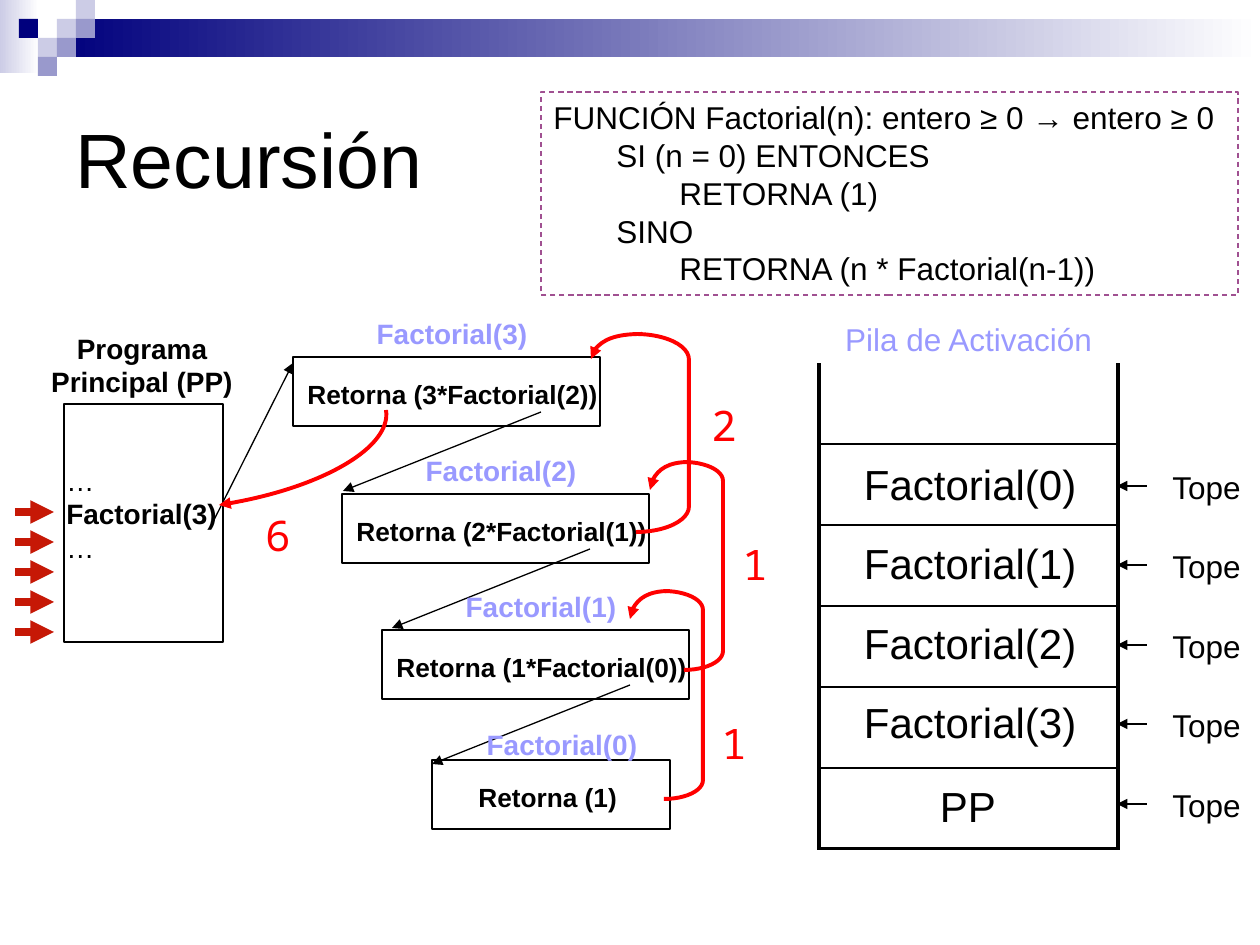
from lxml.etree import SubElement
from pptx import Presentation
from pptx.dml.color import RGBColor
from pptx.enum.dml import MSO_LINE
from pptx.enum.shapes import MSO_CONNECTOR, MSO_SHAPE
from pptx.enum.text import MSO_ANCHOR, PP_ALIGN
from pptx.oxml.ns import qn
from pptx.util import Pt

SCALE = 914400 / 126
BLACK, WHITE, LILAC, RED = "000000", "FFFFFF", "9999FF", "FF0000"
NAVY, PALE, MID = "00007D", "CCCCE6", "9999CC"
BODY = {"name": "Arial", "size": Pt(18), "bold": False}
LABEL = BODY | {"size": Pt(16), "bold": True}
CALL = BODY | {"size": Pt(15), "bold": True}
FRAME = BODY | {"size": Pt(24)}
RESULT = FRAME | {"name": "Noto Sans Mono"}


def px(*lengths):
    return [round(length * SCALE) for length in lengths]


def hue(code):
    return RGBColor.from_string(code)


def apply(target, values):
    for name, value in values.items():
        setattr(target, name, value)


def write(shape, lines, style, color=BLACK, align=PP_ALIGN.LEFT, wrap=False, **frame_values):
    frame = shape.text_frame
    apply(frame, {"word_wrap": wrap, "vertical_anchor": MSO_ANCHOR.TOP} | frame_values)
    for number, line in enumerate(lines):
        para = frame.paragraphs[0] if number == 0 else frame.add_paragraph()
        para.alignment = align
        span = para.add_run()
        span.text = line
        apply(span.font, style)
        span.font.color.rgb = hue(color)
    return frame


def add_text(page, box, lines, style, **options):
    return write(page.shapes.add_textbox(*px(*box)), lines, style, **options)


def stroke(shape, color, width):
    shape.line.color.rgb = hue(color)
    shape.line.width = Pt(width)


def add_outline(page, box, color=BLACK, width=0.75, kind=MSO_SHAPE.RECTANGLE):
    shape = page.shapes.add_shape(kind, *px(*box))
    shape.shadow.inherit = False
    shape.fill.background()
    stroke(shape, color, width)
    return shape


def add_block(page, box, *colors):
    block = page.shapes.add_shape(MSO_SHAPE.RECTANGLE, *px(*box))
    block.shadow.inherit = False
    block.line.fill.background()
    if len(colors) == 1:
        block.fill.solid()
        block.fill.fore_color.rgb = hue(colors[0])
        return
    block.fill.gradient()
    block.fill.gradient_angle = 0
    for position, (stop, color) in enumerate(zip(block.fill.gradient_stops, colors)):
        stop.position = position
        stop.color.rgb = hue(color)


def add_arrowhead(shape):
    SubElement(shape.line._get_or_add_ln(), qn("a:tailEnd"), type="triangle")


def add_arrow(page, start, end, color=BLACK, width=0.75):
    arrow = page.shapes.add_connector(MSO_CONNECTOR.STRAIGHT, *px(*start, *end))
    stroke(arrow, color, width)
    add_arrowhead(arrow)
    SubElement(arrow._element.spPr, qn("a:effectLst"))


def add_curve(page, start, *controls):
    builder = page.shapes.build_freeform(*px(*start))
    builder.add_line_segments([px(*point) for point in controls], close=False)
    curve = builder.convert_to_shape()
    outline = curve._element.find(".//" + qn("a:path"))
    bezier = SubElement(outline, qn("a:cubicBezTo"))
    for segment in outline.findall(qn("a:lnTo")):
        bezier.append(segment[0])
        outline.remove(segment)
    curve.shadow.inherit = False
    curve.fill.background()
    stroke(curve, RED, 2.25)
    add_arrowhead(curve)


def header(page, box):
    left, top, width, _ = box
    cell = 19
    add_block(page, (left, top, 39, 73), PALE, WHITE)
    add_block(page, (left + 3 * cell, top + cell, width - 3 * cell, 2 * cell), NAVY, WHITE)
    mosaic = [(3, 1, PALE), (4, 0, PALE), (4, 1, MID), (2, 2, PALE),
              (1, 1, NAVY), (3, 2, MID), (2, 3, MID)]
    for column, row, color in mosaic:
        add_block(page, (left + column * cell, top + row * cell, cell, cell), color)


def function_code(page, box):
    panel = add_outline(page, box, "A05091")
    panel.line.dash_style = MSO_LINE.DASH
    write(panel, ["FUNCIÓN Factorial(n): entero ≥ 0 → entero ≥ 0",
                  "\tSI (n = 0) ENTONCES",
                  "\t\tRETORNA (1)",
                  "\tSINO",
                  "\t\tRETORNA (n * Factorial(n-1))"], BODY)


def main_program(page, box):
    left, top, _, _ = box
    add_outline(page, box)
    add_text(page, (left - 26, top - 79, 208, 81), ["Programa", "Principal (PP)"],
             LABEL, align=PP_ALIGN.CENTER)
    frame = add_text(page, (left - 10, top + 53, 176, 113), ["…", "Factorial(3)", "…"],
                     BODY | {"size": Pt(16)})
    frame.paragraphs[1].runs[0].font.bold = True
    for step in range(5):
        y = top + 108 + 30 * step
        add_arrow(page, (left - 49, y), (left - 10, y), "C61806", 4.5)


def call_card(page, box, name, name_at, body, body_at):
    left, top, _, _ = box
    add_outline(page, box)
    add_text(page, (left + name_at[0], top + name_at[1], 176, 47), [name],
             LABEL, color=LILAC, align=PP_ALIGN.CENTER)
    add_text(page, (left + body_at[0], top + body_at[1], 316, 44), [body], CALL)


def call_chain(page, box):
    left, top, width, height = box
    places = [(0, 0), (49, 137), (89, 273)]
    for value, (x, y) in zip((3, 2, 1), places):
        card_left, card_top = left + x, top + y
        call_card(page, (card_left, card_top, width, height), f"Factorial({value})",
                  (71, -47), f"Retorna ({value}*Factorial({value - 1}))", (2, 15))
        start = card_left + 248, card_top + 55
        add_arrow(page, start, (start[0] - 198, start[1] + 79))
    call_card(page, (left + 139, top + 403, 238, height), "Factorial(0)", (42, -39),
              "Retorna (1)", (34, 15))


def return_loop(page, box, tip):
    left, top, _, _ = box
    bracket = add_outline(page, box, RED, 2.25, MSO_SHAPE.RIGHT_BRACKET)
    bracket.adjustments[0] = 0.48
    start = left + 6, top
    across, down = start[0] - tip[0], tip[1] - top
    add_curve(page, start, (start[0] - 0.55 * across, top),
              (tip[0], tip[1] - 0.55 * down), tip)


def cell_border(cell, side, width):
    line = SubElement(cell._tc.get_or_add_tcPr(), qn(f"a:{side}"), w=str(Pt(width)))
    if width:
        fill = SubElement(line, qn("a:solidFill"))
        SubElement(fill, qn("a:srgbClr"), val=BLACK)
    else:
        SubElement(line, qn("a:noFill"))


def activation_stack(page, box):
    left, top, width, height = box
    table = page.shapes.add_table(6, 1, *px(*box)).table
    apply(table, {"first_row": False, "horz_banding": False})
    for row in range(6):
        table.rows[row].height = px(height / 6)[0]
        cell = table.cell(row, 0)
        for side, line_width in (("lnL", 2.25), ("lnR", 2.25), ("lnT", 1 if row else 0),
                                 ("lnB", 2.25 if row == 5 else 1)):
            cell_border(cell, side, line_width)
        cell.fill.background()
    add_text(page, (left, top - 49, width, 50), ["Pila de Activación"], BODY,
             color=LILAC, align=PP_ALIGN.CENTER, wrap=True)
    for level in range(5):
        shift = 159 * level // 2
        if level < 4:
            add_text(page, (left + 9, top + 89 + shift, 277, 63), [f"Factorial({level})"],
                     FRAME, wrap=True, margin_left=px(36)[0])
        y = top + 123 + shift
        add_arrow(page, (left + 328, y), (left + 298, y))
        add_text(page, (left + 339, y - 24, 97, 50), ["Tope"], BODY, align=PP_ALIGN.CENTER)
    add_text(page, (left + 108, top + 411, 82, 63), ["PP"], FRAME,
             align=PP_ALIGN.CENTER, wrap=True)


def main():
    deck = Presentation()
    deck.slide_width, deck.slide_height = px(1260, 945)
    page = deck.slides.add_slide(deck.slide_layouts[6])
    header(page, (0, 0, 1260, 76))
    add_text(page, (63, 63, 1134, 189), ["Recursión"], BODY | {"size": Pt(44)},
             wrap=True, vertical_anchor=MSO_ANCHOR.MIDDLE)
    function_code(page, (541, 92, 697, 203))
    main_program(page, (64, 404, 159, 238))
    call_chain(page, (293, 357, 307, 69))
    add_arrow(page, (213, 522), (293, 363))
    activation_stack(page, (819, 363, 299, 486))
    return_loop(page, (664, 591, 39, 208), (630, 619))
    return_loop(page, (684, 462, 39, 208), (650, 490))
    return_loop(page, (636, 334, 53, 198), (591, 359))
    add_curve(page, (386, 410), (392, 447), (318, 490), (219, 505))
    for x, y, value in ((709, 711, "1"), (730, 532, "1"), (699, 393, "2"), (253, 503, "6")):
        add_text(page, (x, y, 49, 63), [value], RESULT, color=RED)
    deck.save("out.pptx")


if __name__ == "__main__":
    main()
